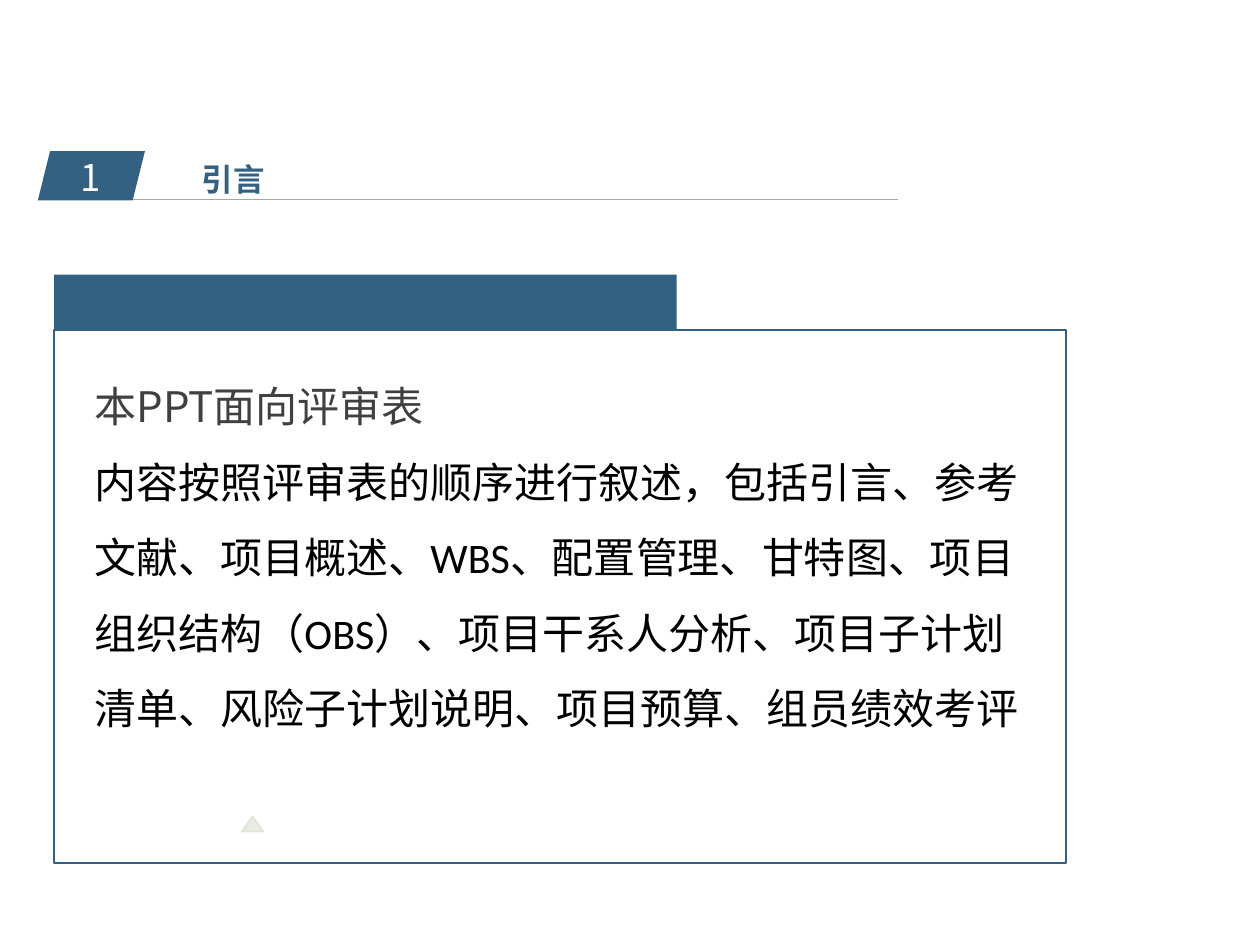
import pptx
import pptx.util
import pptx.dml.color
import pptx.enum.shapes
import pptx.enum.text
import pptx.oxml.ns
import lxml.etree

Inches = pptx.util.Inches
Pt = pptx.util.Pt
Shape = pptx.enum.shapes.MSO_SHAPE
Align = pptx.enum.text.PP_ALIGN
BLUE = "346182"
SANS = "Noto Sans CJK SC"
LEAD = "本PPT面向评审表"
BODY = (
    "内容按照评审表的顺序进行叙述，包括引言、参考文献、项目概述、WBS、"
    "配置管理、甘特图、项目组织结构（OBS）、项目干系人分析、项目子计划清单、"
    "风险子计划说明、项目预算、组员绩效考评"
)


def rgb(code):
    """Turn a hex string into a colour."""
    return pptx.dml.color.RGBColor.from_string(code)


def add_tag(parent, name, **attrs):
    """Append a DrawingML element to a parent."""
    tag = pptx.oxml.ns.qn(name)
    return lxml.etree.SubElement(parent, tag, **attrs)


def place(shape, left, top, width, height):
    """Move and size a shape in inches."""
    shape.left, shape.top = Inches(left), Inches(top)
    shape.width, shape.height = Inches(width), Inches(height)


def add_box(shapes, kind, box, fill=None, line=None):
    """Add a preset shape with an optional fill and outline."""
    shape = shapes.add_shape(kind, *map(Inches, box))
    shape.shadow.inherit = False
    if fill:
        shape.fill.solid()
        shape.fill.fore_color.rgb = rgb(fill)
    else:
        shape.fill.background()
    if line:
        shape.line.color.rgb = rgb(line)
        shape.line.width = Pt(1)
    else:
        shape.line.fill.background()
    return shape


def add_rule(shapes, left, right, y):
    """Add the thin grey line under the heading."""
    rule = shapes.add_connector(
        pptx.enum.shapes.MSO_CONNECTOR.STRAIGHT,
        Inches(left), Inches(y), Inches(right), Inches(y),
    )
    rule.line.color.rgb = rgb("A6A6A6")
    rule.line.width = Pt(0.5)
    add_tag(rule._element.spPr, "a:effectLst")


def set_frame(frame, wrap=True):
    """Set a text frame to fixed size, top anchored."""
    frame.auto_size = pptx.enum.text.MSO_AUTO_SIZE.NONE
    frame.vertical_anchor = pptx.enum.text.MSO_ANCHOR.TOP
    frame.word_wrap = wrap


def write(para, text, size, color, align=Align.LEFT, face=SANS, bold=False):
    """Write a paragraph with one font."""
    para.text = text
    para.alignment = align
    para.space_before = Pt(0)
    font = para.font
    font.size, font.name, font.bold = Pt(size), face, bold
    font.color.rgb = rgb(color)
    add_tag(font._element, "a:ea", typeface=SANS)


def drop_bullet(para):
    """Remove the bullet and hanging indent of a paragraph."""
    props = para._p.get_or_add_pPr()
    props.set("marL", "0")
    props.set("indent", "0")
    bare = add_tag(props, "a:buNone")
    props.find(pptx.oxml.ns.qn("a:defRPr")).addprevious(bare)


def add_head(slide):
    """Add the numbered heading with its rule."""
    add_rule(slide.shapes, 0.65, 7.13, 1.58)
    add_box(slide.shapes, Shape.PARALLELOGRAM, (0.3, 1.2, 0.85, 0.39), BLUE)
    badge = slide.shapes.add_textbox(*map(Inches, (0.3, 1.18, 0.84, 0.45)))
    set_frame(badge.text_frame)
    write(badge.text_frame.paragraphs[0], "1", 21, "FFFFFF", Align.CENTER)
    title = slide.shapes.title
    place(title, 1.5, 1.22, 0.71, 0.4)
    set_frame(title.text_frame, wrap=False)
    write(title.text_frame.paragraphs[0], "引言", 18, BLUE, bold=True)


def add_panel(slide):
    """Add the outlined panel with its tab."""
    group = slide.shapes.add_group_shape()
    add_box(group.shapes, Shape.RECTANGLE, (0.43, 2.62, 8.03, 4.23), line=BLUE)
    add_box(group.shapes, Shape.RECTANGLE, (0.43, 2.18, 4.94, 0.44), BLUE)


def add_body(slide):
    """Fill the body placeholder with the introduction."""
    body = slide.placeholders[1]
    place(body, 0.65, 2.77, 7.6, 3.13)
    frame = body.text_frame
    set_frame(frame)
    write(frame.paragraphs[0], LEAD, 24, "404040", Align.JUSTIFY)
    write(frame.add_paragraph(), BODY, 24, "000000", face="Calibri")
    for para in frame.paragraphs:
        para.line_spacing = 1.5
        drop_bullet(para)


def add_mark(slide):
    """Add the faint triangle."""
    mark = add_box(slide.shapes, Shape.ISOSCELES_TRIANGLE,
                   (1.92, 6.48, 0.17, 0.12), "A2B894", "E0E6D3")
    color = mark.fill._xPr.find(".//" + pptx.oxml.ns.qn("a:srgbClr"))
    add_tag(color, "a:alpha", val="25000")


def main():
    """Build and save the slide."""
    deck = pptx.Presentation()
    deck.slide_width, deck.slide_height = Inches(10), Inches(7.5)
    slide = deck.slides.add_slide(deck.slide_layouts[1])
    add_mark(slide)
    add_head(slide)
    add_panel(slide)
    add_body(slide)
    deck.save("out.pptx")


if __name__ == "__main__":
    main()
